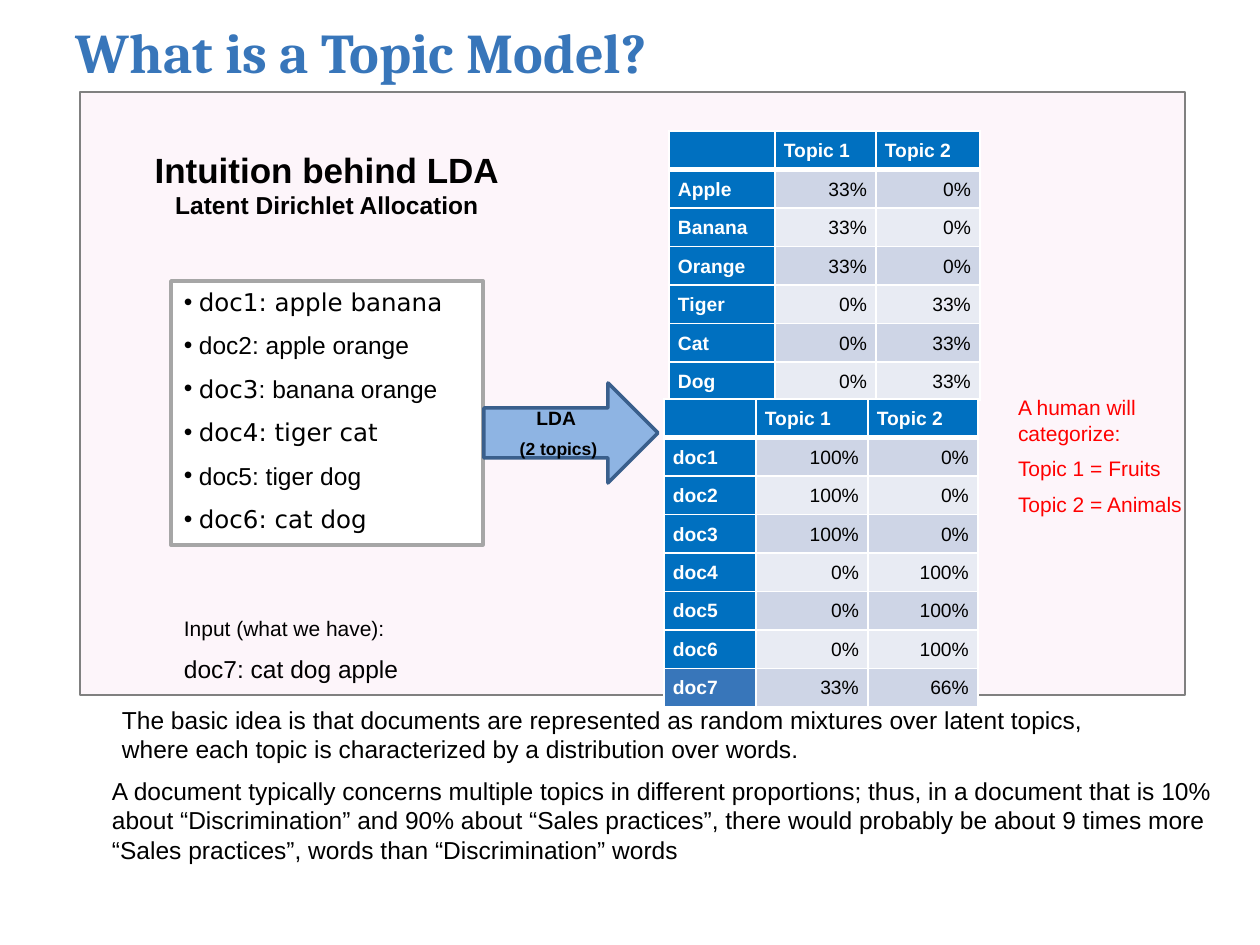
"""Build the slide that explains topic models with an LDA example."""
from lxml import etree
from pptx import Presentation, util as u
from pptx.dml.color import RGBColor
from pptx.enum import shapes, text
from pptx.oxml.ns import qn

COLORS = {
    "white": "FFFFFF", "black": "000000", "red": "FF0000", "title": "3876BA",
    "panel": "FDF5FA", "panel_edge": "808080", "box_edge": "A6A6A6",
    "arrow": "8EB4E3", "arrow_edge": "3A5F8C",
    "head": "0070C0", "band_dark": "CED5E6", "band_light": "E8EBF3",
}
ALIGN, ANCHOR, SHAPE = text.PP_ALIGN, text.MSO_ANCHOR, shapes.MSO_SHAPE
SANS, WIDE = "Arial", "DejaVu Sans"
DOCS = [
    [("doc1: apple banana", WIDE)],
    [("doc2: apple orange", SANS)],
    [("doc3", WIDE), (": banana orange", SANS)],
    [("doc4: tiger cat", WIDE)],
    [("doc5: tiger dog", SANS)],
    [("doc6: cat dog", WIDE)],
]
WORD_TOPICS = [
    ("", "Topic 1", "Topic 2"),
    *[(word, "33%", "0%") for word in ("Apple", "Banana", "Orange")],
    *[(word, "0%", "33%") for word in ("Tiger", "Cat", "Dog")],
]
DOC_TOPICS = [
    ("", "Topic 1", "Topic 2"),
    *[(doc, "100%", "0%") for doc in ("doc1", "doc2", "doc3")],
    *[(doc, "0%", "100%") for doc in ("doc4", "doc5", "doc6")],
    ("doc7", "33%", "66%"),
]
ROW_HEIGHT = 37


def px(length):
    return u.Emu(round(length * 914400 / 126))


def rgb(name):
    return RGBColor.from_string(COLORS[name])


def assign(target, values):
    for name, value in values.items():
        setattr(target, name, value)


def add_span(para, words, size, color="black", bold=False, font=SANS):
    span = para.add_run()
    span.text = words
    assign(span.font, {"size": u.Pt(size), "name": font, "bold": bold})
    span.font.color.rgb = rgb(color)


def add_bullet(para):
    properties = para._p.get_or_add_pPr()
    properties.set("marL", str(px(15)))
    properties.set("indent", str(-px(15)))
    etree.SubElement(properties, qn("a:buFont"), typeface=SANS)
    etree.SubElement(properties, qn("a:buChar"), char="•")


def fill_frame(frame, paragraphs, size, gap=0, align=ALIGN.LEFT, anchor=ANCHOR.TOP,
               inset=13, bullets=False, **style):
    """Write paragraphs, each a string, a (string, size) pair or a list of (string, font)."""
    assign(frame, {"word_wrap": True, "vertical_anchor": anchor,
                   "margin_left": px(inset), "margin_right": px(inset),
                   "margin_top": px(6), "margin_bottom": px(6)})
    for index, content in enumerate(paragraphs):
        para = frame.add_paragraph() if index else frame.paragraphs[0]
        para.alignment = align
        if index:
            para.space_before = u.Pt(gap)
        if bullets:
            add_bullet(para)
        if isinstance(content, list):
            for words, font in content:
                add_span(para, words, size, font=font, **style)
        else:
            words, points = content if isinstance(content, tuple) else (content, size)
            add_span(para, words, points, **style)


def add_text(page, area, paragraphs, size, **options):
    box = page.shapes.add_textbox(*map(px, area))
    fill_frame(box.text_frame, paragraphs, size, **options)


def add_block(page, kind, area, fill, edge, width):
    block = page.shapes.add_shape(kind, *map(px, area))
    block.shadow.inherit = False
    block.fill.solid()
    block.fill.fore_color.rgb = rgb(fill)
    block.line.color.rgb = rgb(edge)
    block.line.width = u.Pt(width)
    return block


def add_borders(cell, row):
    thick = {0: "lnB", 1: "lnT"}.get(row)
    for side in ("lnL", "lnR", "lnT", "lnB"):
        width = 3 if side == thick else 0.96
        line = etree.SubElement(cell._tc.get_or_add_tcPr(), qn(f"a:{side}"),
                                w=str(u.Pt(width)))
        fill = etree.SubElement(line, qn("a:solidFill"))
        etree.SubElement(fill, qn("a:srgbClr"), val=COLORS["white"])


def fill_cell(cell, words, row, column, fill):
    heading = row == 0 or column == 0
    add_borders(cell, row)
    cell.fill.solid()
    cell.fill.fore_color.rgb = rgb(fill)
    assign(cell, {"margin_left": px(9), "margin_right": px(9),
                  "margin_top": px(6), "margin_bottom": px(6)})
    para = cell.text_frame.paragraphs[0]
    assign(para, {"line_spacing": 1.15,
                  "alignment": ALIGN.LEFT if heading else ALIGN.RIGHT})
    if words:
        add_span(para, words, 11, "white" if heading else "black", heading)
    else:
        etree.SubElement(para._p, qn("a:endParaRPr"), sz="1100")


def add_topic_table(page, left, top, widths, rows, special=None):
    """Add a banded table; the row labelled special gets its own label colour."""
    area = (left, top, sum(widths), ROW_HEIGHT * len(rows))
    table = page.shapes.add_table(len(rows), len(widths), *map(px, area)).table
    for column, width in zip(table.columns, widths):
        column.width = px(width)
    for row, values in enumerate(rows):
        table.rows[row].height = px(ROW_HEIGHT)
        band = "band_dark" if row % 2 else "band_light"
        for column, words in enumerate(values):
            fill = "head" if row == 0 or column == 0 else band
            if special and words == special:
                fill = "title"
            fill_cell(table.cell(row, column), words, row, column, fill)


def main():
    deck = Presentation()
    assign(deck, {"slide_width": px(1260), "slide_height": px(945)})
    page = deck.slides.add_slide(deck.slide_layouts[6])

    add_block(page, SHAPE.RECTANGLE, (80, 92, 1105, 603), "panel", "panel_edge", 1)
    add_text(page, (76, -21, 1184, 145), ["What is a Topic Model?"], 32, inset=0,
             anchor=ANCHOR.MIDDLE, color="title", bold=True, font="Cambria")
    add_text(page, (106, 142, 442, 97),
             ["Intuition behind LDA", ("Latent Dirichlet Allocation", 14)], 20,
             inset=0, align=ALIGN.CENTER, bold=True)

    docs = add_block(page, SHAPE.RECTANGLE, (171, 281, 312, 264), "white", "box_edge", 2)
    fill_frame(docs.text_frame, DOCS, 14, gap=8, bullets=True)
    add_text(page, (171, 609, 312, 92),
             ["Input (what we have):", ("doc7: cat dog apple", 14)], 12, gap=8)

    add_topic_table(page, 669, 131, (106, 101, 104), WORD_TOPICS)
    add_topic_table(page, 664, 399, (92, 112, 110), DOC_TOPICS, special="doc7")

    add_text(page, (109, 699, 1047, 106), [
        "The basic idea is that documents are represented as random mixtures over latent "
        "topics, where each topic is characterized by a distribution over words."], 14)
    add_text(page, (1005, 389, 210, 134),
             ["A human will categorize:", "Topic 1 = Fruits", "Topic 2 = Animals"], 12,
             gap=6, color="red")
    arrow = add_block(page, SHAPE.RIGHT_ARROW, (484, 383, 174, 100),
                      "arrow", "arrow_edge", 2)
    fill_frame(arrow.text_frame, ["LDA ", ("(2 topics)", 10)], 11, gap=5,
               align=ALIGN.CENTER, anchor=ANCHOR.MIDDLE, bold=True)
    add_text(page, (99, 770, 1161, 101), [
        "A document typically concerns multiple topics in different proportions; thus, in a "
        "document that is 10% about “Discrimination” and 90% about “Sales practices”, there "
        "would probably be about 9 times more “Sales practices”, words than "
        "“Discrimination” words"], 14)
    deck.save("out.pptx")


if __name__ == "__main__":
    main()
